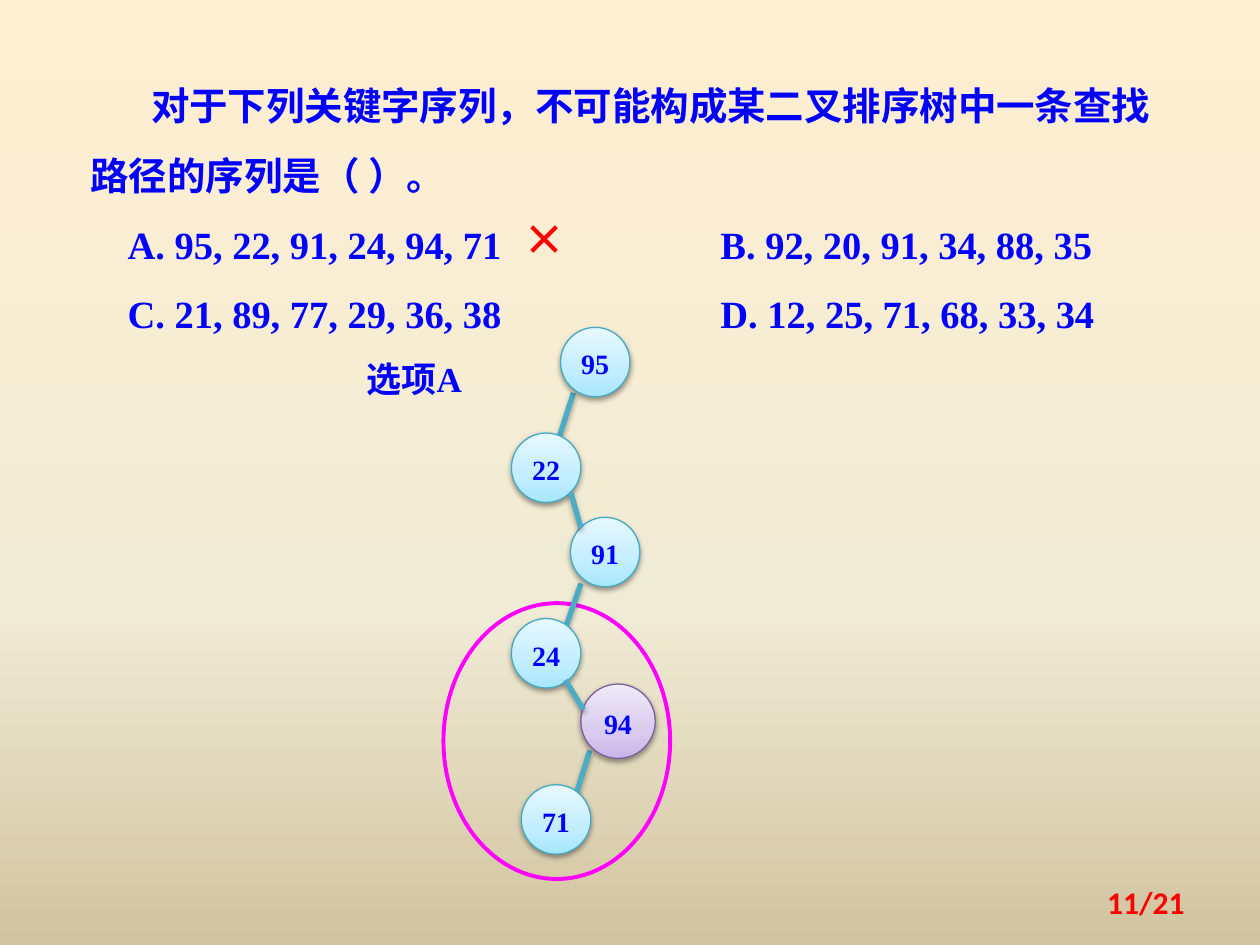
from dataclasses import dataclass

from lxml import etree
from pptx import Presentation
from pptx.dml.color import RGBColor
from pptx.enum.shapes import MSO_CONNECTOR, MSO_SHAPE
from pptx.enum.text import MSO_ANCHOR, MSO_AUTO_SIZE, PP_ALIGN
from pptx.oxml.ns import qn
from pptx.util import Cm, Pt

OVAL, STRAIGHT = MSO_SHAPE.OVAL, MSO_CONNECTOR.STRAIGHT
TOP, MIDDLE = MSO_ANCHOR.TOP, MSO_ANCHOR.MIDDLE
LEFT, CENTER, RIGHT = PP_ALIGN.LEFT, PP_ALIGN.CENTER, PP_ALIGN.RIGHT
NO_AUTOFIT = MSO_AUTO_SIZE.NONE


@dataclass(frozen=True)
class Theme:
    ink: str = "0000FF"
    alert: str = "FF0000"
    highlight: str = "FF00FF"
    edge: str = "4BACC6"
    shadow: str = "000000"
    background: tuple = ((0, "FFEFD1"), (65, "F0EBD5"), (100, "D1C39F"))
    node: tuple = ((0, "A7E6FF"), (35, "C1EDFF"), (100, "E7F8FF"))
    node_line: str = "46AAC5"
    wrong_node: tuple = ((0, "C9B5E8"), (35, "D8CBEE"), (100, "F0EAF9"))
    wrong_line: str = "7D60A0"
    latin: str = "Times New Roman"
    cjk: str = "Noto Sans CJK SC"
    number_font: str = "Calibri"
    question_size: int = 22
    mark_size: int = 24
    caption_size: int = 20
    number_size: int = 18
    node_size: int = 16


THEME = Theme()

QUESTION = "对于下列关键字序列，不可能构成某二叉排序树中一条查找路径的序列是（ ）。"
OPTIONS = (
    "A. 95, 22, 91, 24, 94, 71\tB. 92, 20, 91, 34, 88, 35",
    "C. 21, 89, 77, 29, 36, 38\tD. 12, 25, 71, 68, 33, 34",
)
SECOND_OPTION = Cm(12.7)

# Search path: key, centre x and y in cm within the tree's box
NODES = (("95", 3.06, 0.7), ("22", 2.07, 2.83), ("91", 3.26, 4.53),
         ("24", 2.07, 6.57), ("94", 3.52, 7.94), ("71", 2.27, 9.92))
WRONG_KEY = "94"
# Edges: start x, y and end x, y in cm within the tree's box
LEFT_EDGES = ((2.95, 8.53, 2.62, 9.58), (2.77, 5.16, 2.41, 6.2),
              (2.62, 1.32, 2.29, 2.34))
RIGHT_EDGES = ((2.57, 3.33, 2.77, 4.04), (2.46, 7.11, 2.82, 7.7))


def add_child(parent, tag, **attributes):
    child = etree.SubElement(parent, qn(tag))
    for key, value in attributes.items():
        child.set(key, str(value))
    return child


def set_gradient(fill, element, stops, angle):
    fill.gradient()
    fill.gradient_angle = angle
    stop_list = next(element.iter(qn("a:gsLst")))
    for old_stop in list(stop_list):
        stop_list.remove(old_stop)
    for position, color in stops:
        stop = add_child(stop_list, "a:gs", pos=position * 1000)
        add_child(stop, "a:srgbClr", val=color)


def set_shadow(part, opacity, distance):
    effects = add_child(part._element.spPr, "a:effectLst")
    shadow = add_child(effects, "a:outerShdw", blurRad=Pt(3.1), dist=Pt(distance),
                       dir=5400000, rotWithShape=0)
    color = add_child(shadow, "a:srgbClr", val=THEME.shadow)
    add_child(color, "a:alpha", val=opacity * 1000)


def write(paragraph, text, *, size, color=THEME.ink, font=THEME.latin,
          align=LEFT, spacing=1.0):
    paragraph.alignment = align
    paragraph.line_spacing = spacing
    paragraph.space_before = Pt(0)
    run = paragraph.add_run()
    run.text = text
    run.font.name = font
    run.font.size = Pt(size)
    run.font.bold = True
    run.font.color.rgb = RGBColor.from_string(color)
    add_child(run.font._element, "a:ea", typeface=THEME.cjk)


def add_label(slide, text, left, top, width, height, anchor=TOP, **text_format):
    frame = slide.shapes.add_textbox(Cm(left), Cm(top), Cm(width), Cm(height)).text_frame
    frame.word_wrap = True
    frame.vertical_anchor = anchor
    write(frame.paragraphs[0], text, **text_format)


def add_question(slide, left, top, width, height):
    body = slide.placeholders[1]
    body.left, body.top, body.width, body.height = map(Cm, (left, top, width, height))
    frame = body.text_frame
    frame.auto_size = NO_AUTOFIT
    frame.vertical_anchor = TOP
    for index, line in enumerate((QUESTION, *OPTIONS)):
        paragraph = frame.add_paragraph() if index else frame.paragraphs[0]
        write(paragraph, line, size=THEME.question_size, spacing=1.5)
        # First-line indent, no bullet; the tab width overrides the template's
        properties = paragraph._p.get_or_add_pPr()
        properties.set("marL", "0")
        properties.set("indent", str(Cm(0.75 if index else 1.22)))
        properties.set("defTabSz", str(SECOND_OPTION))
        add_child(properties, "a:buNone")
        tabs = add_child(properties, "a:tabLst")
        add_child(tabs, "a:tab", pos=SECOND_OPTION, algn="l")
    # Mark beside option A
    add_label(slide, "×", left + 8.74, top + 3.07, 1.4, 1.32, size=THEME.mark_size,
              color=THEME.alert, font=THEME.cjk, spacing=Pt(30))


def add_edges(slide, left, top, edges):
    for x1, y1, x2, y2 in edges:
        edge = slide.shapes.add_connector(STRAIGHT, Cm(left + x1), Cm(top + y1),
                                          Cm(left + x2), Cm(top + y2))
        edge.line.color.rgb = RGBColor.from_string(THEME.edge)
        edge.line.width = Pt(3)
        set_shadow(edge, 35, 1.8)


def add_node(slide, key, x, y):
    wrong = key == WRONG_KEY
    diameter = 1.5 if wrong else 1.4
    node = slide.shapes.add_shape(OVAL, Cm(x - diameter / 2), Cm(y - diameter / 2),
                                  Cm(diameter), Cm(diameter))
    set_gradient(node.fill, node._element, THEME.wrong_node if wrong else THEME.node, 90)
    node.line.color.rgb = RGBColor.from_string(
        THEME.wrong_line if wrong else THEME.node_line)
    node.line.width = Pt(0.75)
    set_shadow(node, 38, 1.6)
    frame = node.text_frame
    frame.margin_left = frame.margin_right = 0
    frame.vertical_anchor = MIDDLE
    write(frame.paragraphs[0], key, size=THEME.node_size, align=CENTER, spacing=1.1)


def add_tree(slide, left, top):
    # Ring around the contradicting part of the path
    ring = slide.shapes.add_shape(OVAL, Cm(left), Cm(top + 5.56), Cm(4.57), Cm(5.56))
    ring.shadow.inherit = False
    ring.fill.background()
    ring.line.color.rgb = RGBColor.from_string(THEME.highlight)
    ring.line.width = Pt(2.25)
    # Left edges lie behind the nodes, right edges in front
    add_edges(slide, left, top, LEFT_EDGES)
    for key, x, y in NODES:
        add_node(slide, key, left + x, top + y)
    add_edges(slide, left, top, RIGHT_EDGES)
    add_label(slide, "选项A", left - 1.8, top + 0.28, 2.5, 1.32,
              size=THEME.caption_size, spacing=Pt(30))


def add_page_number(slide, left, top, width, height):
    add_label(slide, "11/21", left, top, width, height, anchor=MIDDLE, align=RIGHT,
              size=THEME.number_size, color=THEME.alert, font=THEME.number_font)


def main():
    deck = Presentation()
    deck.slide_width, deck.slide_height = Cm(25.4), Cm(19.05)
    slide = deck.slides.add_slide(deck.slide_layouts[1])
    set_gradient(slide.background.fill, slide._element, THEME.background, 270)
    title = slide.shapes.title._element
    title.getparent().remove(title)
    add_question(slide, 1.57, 1.07, 22.23, 5.74)
    add_tree(slide, 8.94, 6.6)
    add_page_number(slide, 18.21, 17.68, 5.92, 1.02)
    deck.save("out.pptx")


if __name__ == "__main__":
    main()
